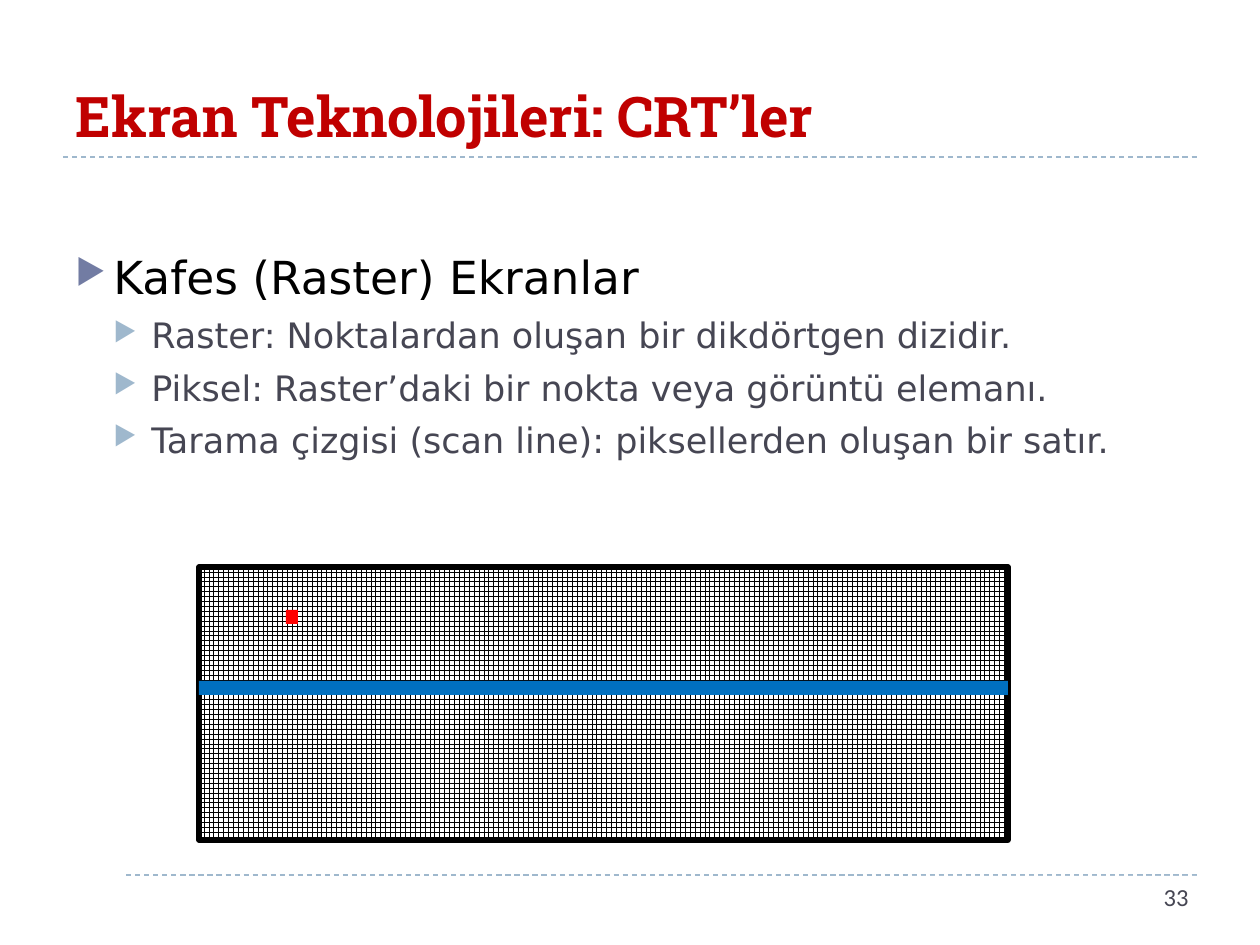
from pptx import Presentation, util as u
from pptx.dml.color import RGBColor
from pptx.enum import dml, shapes, text
from pptx.oxml.ns import qn
from lxml import etree

PX = u.Inches(1) / 126
HUE = {"title": "C00000", "head": "000000", "body": "464653", "rule": "9FB8CD",
       "mark": "727CA3", "sub": "9FB8CD", "paper": "FFFFFF", "grid": "000000",
       "scan": "0070C0", "pixel": "FF0000"}


def px(n):
    return u.Emu(round(n * PX))


def rgb(key):
    return RGBColor.from_string(HUE[key])


def block(slide, box, key):
    rect = slide.shapes.add_shape(shapes.MSO_SHAPE.RECTANGLE, *map(px, box))
    rect.shadow.inherit = False
    rect.fill.solid()
    rect.fill.fore_color.rgb = rgb(key)
    rect.line.fill.background()
    return rect


def rule(slide, x, y, w):
    line = slide.shapes.add_connector(
        shapes.MSO_CONNECTOR.STRAIGHT, px(x), px(y), px(x + w), px(y))
    line.line.color.rgb = rgb("rule")
    line.line.width = u.Pt(0.75)
    line.line.dash_style = dml.MSO_LINE.DASH
    etree.SubElement(line._element.spPr, qn("a:effectLst"))


def style(para, face, size, key, bold=False):
    font = para.font
    font.name, font.size, font.bold = face, u.Pt(size), bold
    font.color.rgb = rgb(key)


def bullet(para, indent, key):
    props = para._p.get_or_add_pPr()
    props.set("marL", str(px(indent)))
    props.set("indent", str(-px(38)))
    tint = etree.SubElement(props, qn("a:buClr"))
    etree.SubElement(tint, qn("a:srgbClr"), val=HUE[key])
    etree.SubElement(props, qn("a:buSzPct"), val="76000")
    etree.SubElement(props, qn("a:buChar"), char="▶")


def frame(slide, box):
    area = slide.shapes.add_textbox(*map(px, box)).text_frame
    area.word_wrap = True
    return area


def title(slide, box):
    area = frame(slide, box)
    area.vertical_anchor = text.MSO_ANCHOR.MIDDLE
    para = area.paragraphs[0]
    para.text = "Ekran Teknolojileri: CRT’ler"
    style(para, "Roboto Slab", 32, "title", True)


def body(slide, box):
    area = frame(slide, box)
    head = area.paragraphs[0]
    head.text = "Kafes (Raster) Ekranlar"
    bullet(head, 38, "mark")
    style(head, "DejaVu Sans", 26, "head")
    for words in ("Raster: Noktalardan oluşan bir dikdörtgen dizidir.",
                  "Piksel: Raster’daki bir nokta veya görüntü elemanı.",
                  "Tarama çizgisi (scan line): piksellerden oluşan bir satır."):
        para = area.add_paragraph()
        para.text = words
        para.level = 1
        para.space_before = u.Pt(5.8)
        bullet(para, 76, "sub")
        style(para, "DejaVu Sans", 20, "body")


def raster(slide, box):
    x, y, w, h = box
    # Pixel grid
    grid = block(slide, box, "paper")
    grid.fill.patterned()
    grid.fill.pattern = dml.MSO_PATTERN.LARGE_GRID
    grid.fill.fore_color.rgb = rgb("grid")
    grid.fill.back_color.rgb = rgb("paper")
    grid.line.color.rgb = rgb("grid")
    grid.line.width = u.Pt(3)
    # Scan line and single pixel
    block(slide, (x, y + 114, w, 14), "scan")
    block(slide, (x + 87, y + 43, 12, 14), "pixel")


def footer(slide, box):
    area = block(slide, box, "paper").text_frame
    area.vertical_anchor = text.MSO_ANCHOR.TOP
    para = area.paragraphs[0]
    para.text = "33"
    para.alignment = text.PP_ALIGN.RIGHT
    style(para, "Calibri", 14, "body")


def main():
    deck = Presentation()
    deck.slide_width, deck.slide_height = px(1260), px(945)
    slide = deck.slides.add_slide(deck.slide_layouts[6])
    # Rules, with the lower one masked at the left corner
    for y in (875, 157):
        rule(slide, 63, y, 1134)
    block(slide, (44, 859, 80, 80), "paper")
    # Content
    title(slide, (63, 32, 1043, 167))
    body(slide, (63, 243, 1061, 619))
    raster(slide, (199, 567, 809, 273))
    footer(slide, (907, 876, 294, 50))
    deck.save("out.pptx")


if __name__ == "__main__":
    main()
